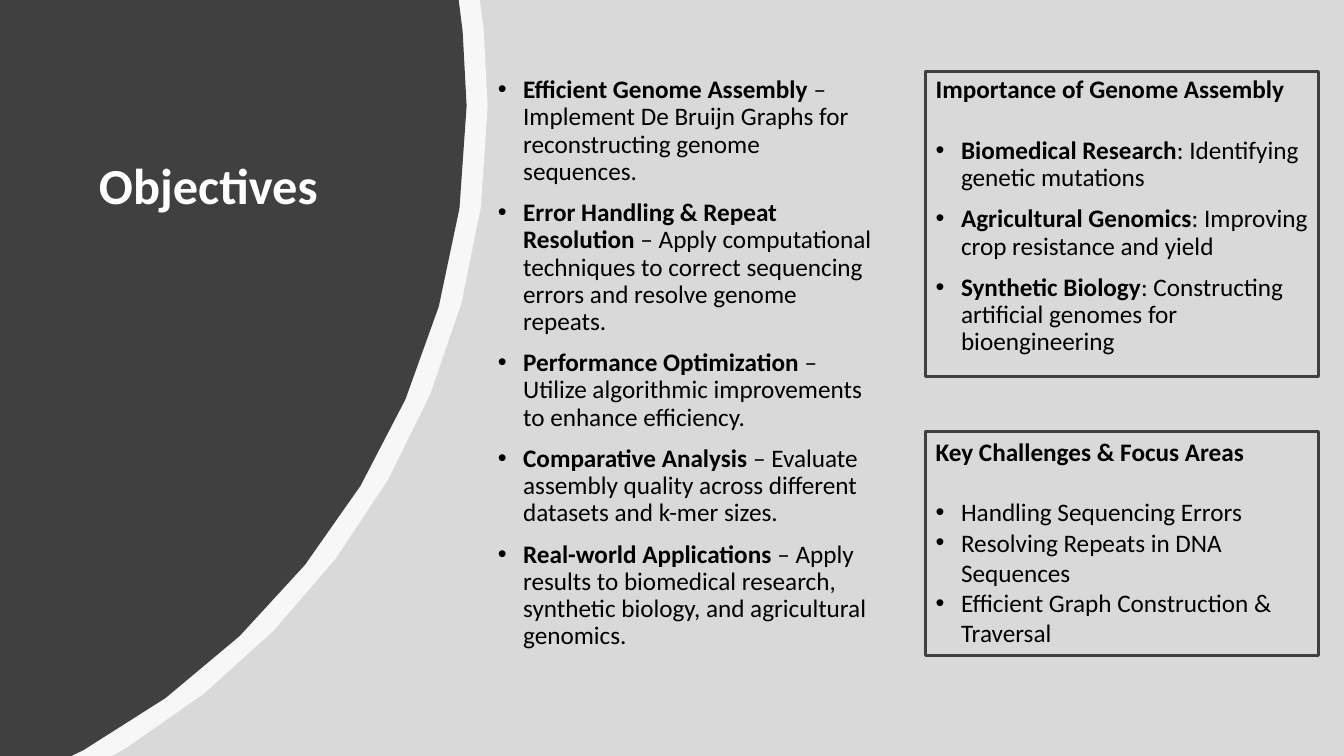
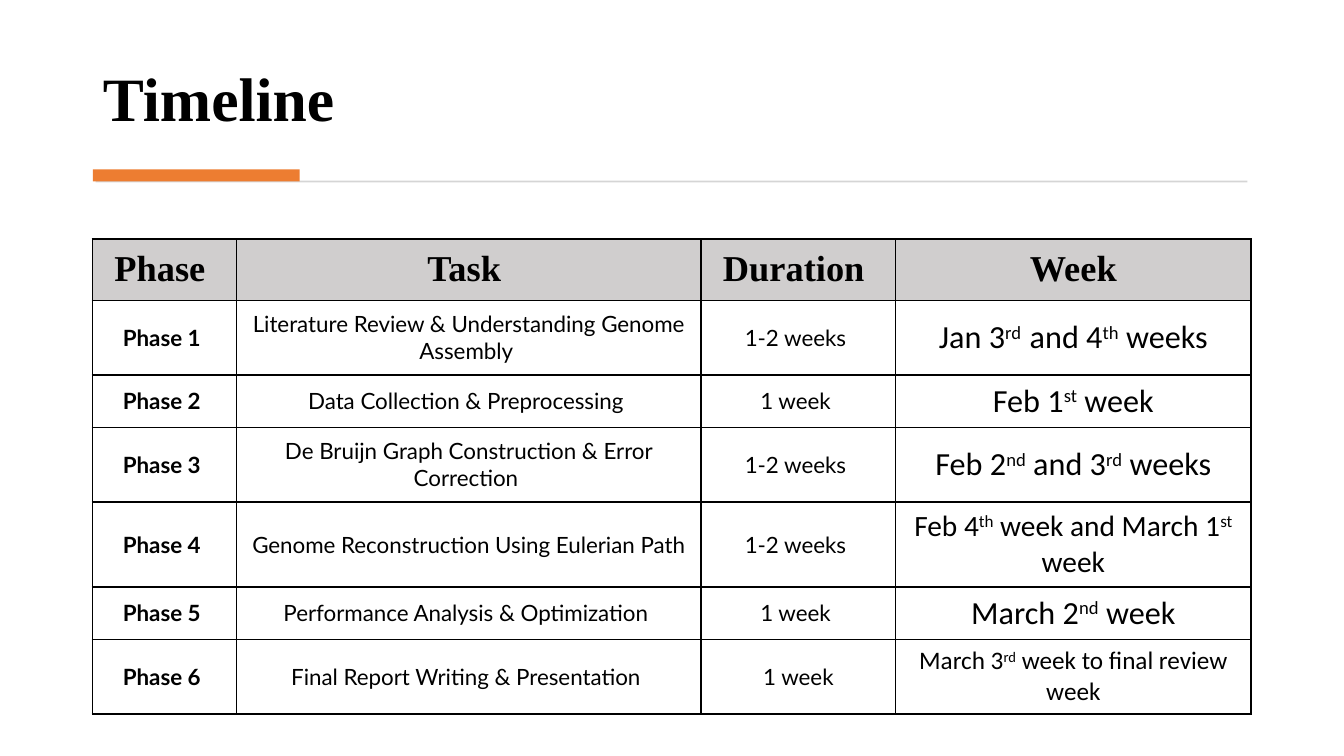
from lxml.etree import SubElement
from pptx import Presentation
from pptx.dml.color import RGBColor
from pptx.enum.shapes import MSO_SHAPE
from pptx.enum.text import MSO_ANCHOR, MSO_AUTO_SIZE, PP_ALIGN
from pptx.oxml.ns import qn
from pptx.util import Cm, Pt

rgb = RGBColor.from_string
BLACK, WHITE, DARK, PALE = "000000", "FFFFFF", "404040", "D9D9D9"
RULE, ORANGE, HEADER = "D5D5D5", "ED7D31", "D0CECE"
SANS, SERIF, TABLE_FONT = "Calibri", "Times New Roman", "Lato"


def add_run(p, text, size=18, font=SANS, bold=False, color=BLACK):
    r = p.add_run()
    r.text = text
    r.font.size, r.font.name, r.font.bold = Pt(size), font, bold
    r.font.color.rgb = rgb(color)
    return r


def add_bullet(p, term, rest):
    """Write a bulleted paragraph: a bold term, then plain text."""
    pPr = p._p.get_or_add_pPr()
    pPr.set("marL", str(Cm(0.64)))
    pPr.set("indent", str(-Cm(0.64)))
    SubElement(pPr, qn("a:buFont")).set("typeface", "Arial")
    SubElement(pPr, qn("a:buChar")).set("char", "•")
    p.alignment = PP_ALIGN.LEFT
    if term:
        add_run(p, term, bold=True)
        p.line_spacing, p.space_before = 0.9, Pt(10)
    else:
        p.space_before = Pt(0)
    add_run(p, rest)


prs = Presentation()
prs.slide_width, prs.slide_height = Cm(33.87), Cm(19.05)
objectives = prs.slides.add_slide(prs.slide_layouts[1])
timeline = prs.slides.add_slide(prs.slide_layouts[5])

# Titles
titles = [
    (objectives, "Objectives", (2.24, 3.92, 7.98, 5.99), 36, SANS, WHITE, MSO_ANCHOR.TOP),
    (timeline, "Timeline", (2.34, 0.71, 29.18, 2.82), 44, SERIF, BLACK, MSO_ANCHOR.BOTTOM),
]
for s, text, box, size, font, color, anchor in titles:
    title = s.shapes.title
    title.left, title.top, title.width, title.height = map(Cm, box)
    tf = title.text_frame
    tf.auto_size, tf.vertical_anchor = MSO_AUTO_SIZE.NONE, anchor
    p = tf.paragraphs[0]
    p.alignment, p.line_spacing = PP_ALIGN.LEFT, 0.9
    add_run(p, text, size, font, True, color)

# Plain bars: backdrop of the objectives, rule and accent under the timeline title
bars = [
    (objectives, PALE, (0, 0, 33.87, 19.05)),
    (timeline, RULE, (2.41, 4.55, 29.03, 0.05)),
    (timeline, ORANGE, (2.34, 4.27, 5.21, 0.3)),
]
for s, color, box in bars:
    sp = s.shapes.add_shape(MSO_SHAPE.RECTANGLE, *map(Cm, box))
    sp.shadow.inherit = False
    sp.line.fill.background()
    sp.fill.solid()
    sp.fill.fore_color.rgb = rgb(color)
    if s is objectives:
        s.shapes._spTree.insert(2, sp._element)  # behind the placeholders

# Objectives: curved panel, its long edge a Bézier curve in a few steps
s = objectives
panels = [
    (WHITE, 80, [(12.09, 0), (12.19, 0.74)], (2.82, 19.05),
     [(12.29, 2.67), (12.29, 9.53), (8.64, 15.52), (3.18, 18.85)]),
    (DARK, 100, [(11.56, 0), (11.66, 0.79)], (1.8, 19.05),
     [(11.76, 2.67), (11.76, 9.68), (7.85, 15.77), (2.11, 18.9)]),
]
STEPS = 8
for level, (color, opacity, edge, bottom, (a, b, c, d)) in enumerate(panels):
    for step in range(STEPS + 1):
        t = step / STEPS
        u = 1 - t
        edge.append(tuple(u**3 * a[i] + 3 * u * u * t * b[i] + 3 * u * t * t * c[i] + t**3 * d[i]
                          for i in (0, 1)))
    edge += [bottom, (0, 19.05)]
    builder = s.shapes.build_freeform(0, 0, scale=1.0)
    builder.add_line_segments([(Cm(x), Cm(y)) for x, y in edge], close=True)
    sp = builder.convert_to_shape()
    sp.shadow.inherit = False
    sp.line.fill.background()
    sp.fill.solid()
    sp.fill.fore_color.rgb = rgb(color)
    if opacity < 100:
        clr = sp._element.spPr.find(".//" + qn("a:srgbClr"))
        SubElement(clr, qn("a:alpha")).set("val", str(opacity * 1000))
    s.shapes._spTree.insert(3 + level, sp._element)  # above the backdrop, behind the title

# Objectives: main list
goals = [
    ("Efficient Genome Assembly", " – Implement De Bruijn Graphs for reconstructing genome sequences."),
    ("Error Handling & Repeat Resolution",
     " – Apply computational techniques to correct sequencing errors and resolve genome repeats."),
    ("Performance Optimization", " – Utilize algorithmic improvements to enhance efficiency."),
    ("Comparative Analysis", " – Evaluate assembly quality across different datasets and k-mer sizes."),
    ("Real-world Applications",
     " – Apply results to biomedical research, synthetic biology, and agricultural genomics."),
]
body = s.placeholders[1]
body.left, body.top, body.width, body.height = Cm(12.29), Cm(1.81), Cm(10.08), Cm(15.44)
tf = body.text_frame
tf.auto_size, tf.vertical_anchor = MSO_AUTO_SIZE.NONE, MSO_ANCHOR.TOP
for i, (term, rest) in enumerate(goals):
    add_bullet(tf.add_paragraph() if i else tf.paragraphs[0], term, rest)

# Objectives: framed boxes
boxes = [
    ("Importance of Genome Assembly ", (23.33, 1.81, 9.91, 7.67), 0.9, 14.1, [
        ("Biomedical Research", ": Identifying genetic mutations "),
        ("Agricultural Genomics", ": Improving crop resistance and yield "),
        ("Synthetic Biology", ": Constructing artificial genomes for bioengineering"),
    ]),
    ("Key Challenges & Focus Areas", (23.33, 10.87, 9.91, 5.64), 1.0, 21.6, [
        ("", "Handling Sequencing Errors "),
        ("", "Resolving Repeats in DNA Sequences "),
        ("", "Efficient Graph Construction & Traversal "),
    ]),
]
for heading, box, spacing, gap, items in boxes:
    sp = s.shapes.add_shape(MSO_SHAPE.RECTANGLE, *map(Cm, box))
    sp.shadow.inherit = False
    sp.fill.background()
    sp.line.color.rgb, sp.line.width = rgb(DARK), Pt(2.25)
    tf = sp.text_frame
    tf.word_wrap, tf.vertical_anchor = True, MSO_ANCHOR.TOP
    p = tf.paragraphs[0]
    p.alignment, p.line_spacing, p.space_after = PP_ALIGN.LEFT, spacing, Pt(gap)
    add_run(p, heading, bold=True)
    for term, rest in items:
        add_bullet(tf.add_paragraph(), term, rest)

# Timeline: table; text between ^ marks is superscript
rows = [
    ("Phase ", "Task ", "Duration ", "Week"),
    ("Phase 1 ", "Literature Review & Understanding Genome Assembly ", "1-2 weeks ",
     "Jan 3^rd  ^and 4^th^ weeks"),
    ("Phase 2 ", "Data Collection & Preprocessing ", "1 week ", "Feb 1^st^ week"),
    ("Phase 3 ", "De Bruijn Graph Construction & Error Correction ", "1-2 weeks ",
     "Feb 2^nd^ and 3^rd^ weeks"),
    ("Phase 4 ", "Genome Reconstruction Using Eulerian Path ", "1-2 weeks ",
     "Feb 4^th^ week and March 1^st^ week"),
    ("Phase 5 ", "Performance Analysis & Optimization ", "1 week ", "March 2^nd^ week"),
    ("Phase 6 ", "Final Report Writing & Presentation ", "1 week",
     "March 3^rd^ week to final review week"),
]
col_widths = [3.63, 11.71, 4.9, 8.96]
row_heights = [1.55, 1.88, 1.32, 1.88, 2.14, 1.32, 1.88]
week_sizes = {4: 21, 6: 18}
table = timeline.shapes.add_table(len(rows), len(col_widths), Cm(2.33), Cm(6.02),
                                  Cm(sum(col_widths)), Cm(sum(row_heights))).table
table.horz_banding = False
for column, width in zip(table.columns, col_widths):
    column.width = Cm(width)
for r, texts in enumerate(rows):
    table.rows[r].height = Cm(row_heights[r])
    for c, text in enumerate(texts):
        cell = table.cell(r, c)
        cell.vertical_anchor = MSO_ANCHOR.MIDDLE
        cell.margin_left = cell.margin_right = Cm(0.33)
        cell.margin_top = cell.margin_bottom = Cm(0.15)
        tcPr = cell._tc.get_or_add_tcPr()
        for side in ("lnL", "lnR", "lnT", "lnB"):
            ln = SubElement(tcPr, qn("a:" + side), w=str(Pt(1.2)))
            SubElement(SubElement(ln, qn("a:solidFill")), qn("a:srgbClr"), val=BLACK)
        if r == 0:
            cell.fill.solid()
            cell.fill.fore_color.rgb = rgb(HEADER)
            size, font = 26, SERIF
        else:
            cell.fill.background()
            size, font = (week_sizes.get(r, 23), SANS) if c == 3 else (16, TABLE_FONT)
        p = cell.text_frame.paragraphs[0]
        p.alignment = PP_ALIGN.CENTER
        for i, part in enumerate(text.split("^")):
            run = add_run(p, part, size, font, r == 0 or c == 0)
            if i % 2:
                run._r.get_or_add_rPr().set("baseline", "30000")

prs.save("out.pptx")
